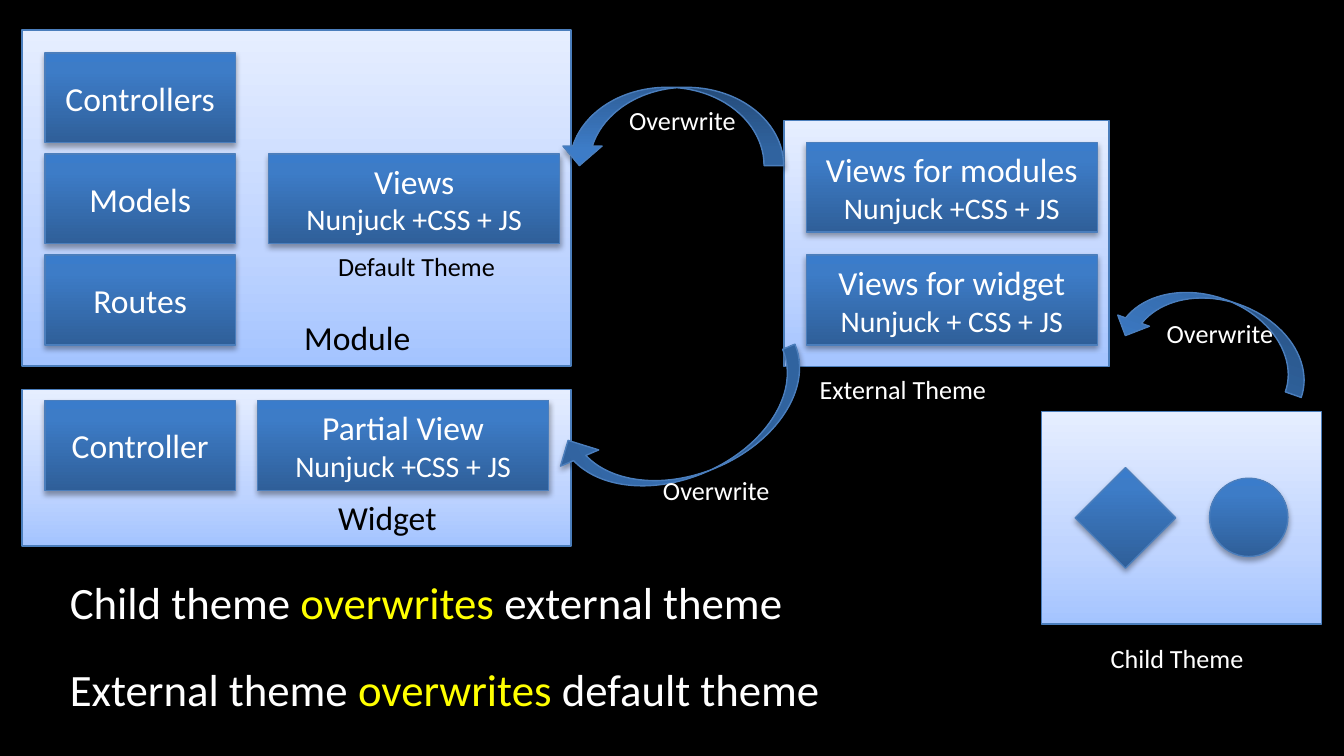
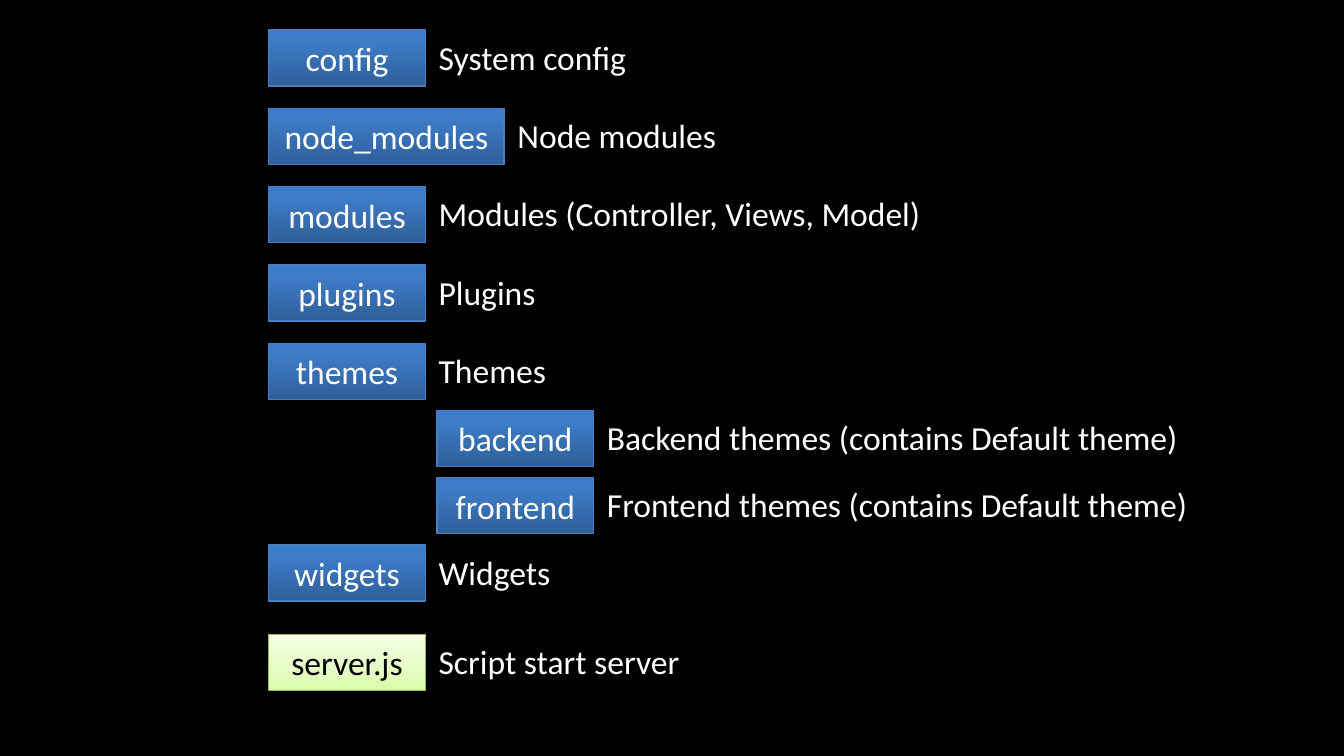
import pptx
import pptx.util
import pptx.dml.color
import pptx.enum.shapes
import pptx.enum.text
import pptx.oxml
import pptx.oxml.ns
import lxml.etree

Cm = pptx.util.Cm
Pt = pptx.util.Pt
RGB = pptx.dml.color.RGBColor.from_string
SHAPE = pptx.enum.shapes.MSO_SHAPE
ALIGN = pptx.enum.text.PP_ALIGN
ANCHOR = pptx.enum.text.MSO_ANCHOR
FIT = pptx.enum.text.MSO_AUTO_SIZE
qn = pptx.oxml.ns.qn

THEME = {
    "font": "Calibri",
    "back": "000000",
    "light": "FFFFFF",
    "dark": "000000",
    "accent": "FFFF00",
    "statement": 24,
    "name": 18,
    "detail": 16,
    "caption": 14,
    "line": 0.75,
    "styles": {
        "block": {"stops": [(0, "2F5F99"), (80, "3D7CC7"), (100, "3A7CCB")],
                  "line": "4B7EBC", "alpha": 35, "drop": 1.8, "text": "light"},
        "panel": {"stops": [(0, "A4C4FF"), (35, "BFD4FF"), (100, "E6EEFF")],
                  "line": "4B7EBC", "alpha": 38, "drop": 1.6, "text": "dark"},
        "script": {"stops": [(0, "DAFDA7"), (35, "E4FCC2"), (100, "F5FFE7")],
                   "line": "98B955", "alpha": 38, "drop": 1.6, "text": "dark"},
    },
}

PANELS = [
    (0.42, 0.57, 10.37, 6.35),
    (14.82, 2.28, 6.14, 4.65),
    (0.42, 7.36, 10.37, 2.96),
    (19.69, 7.78, 5.29, 4.02),
]
NARROW, WIDE, BLOCK_H = 3.6, 5.5, 1.7
MODULE_PARTS = ["Controllers", "Models", "Routes"]
BLOCKS = [
    (0.85, 1.0 + 1.91 * i, NARROW, [part]) for i, part in enumerate(MODULE_PARTS)
] + [
    (5.08, 2.91, WIDE, ["Views", "Nunjuck +CSS + JS"]),
    (15.24, 2.69, WIDE, ["Views for modules", "Nunjuck +CSS + JS"]),
    (15.24, 4.82, WIDE, ["Views for widget", "Nunjuck + CSS + JS"]),
    (0.85, 7.57, NARROW, ["Controller"]),
    (4.87, 7.57, WIDE, ["Partial View", "Nunjuck +CSS + JS"]),
]
SYMBOLS = [
    (SHAPE.CURVED_UP_ARROW, (10.58, 1.65, 4.23, 1.48), 180, []),
    (SHAPE.CURVED_UP_ARROW, (21.07, 5.64, 3.84, 1.27), 199.4, []),
    (SHAPE.CURVED_LEFT_ARROW, (12.22, 5.69, 1.57, 5.05), 67, [0.16, 0.5, 0.25]),
    (SHAPE.DIAMOND, (20.32, 8.84, 1.9, 1.9), 0, []),
    (SHAPE.OVAL, (22.86, 9.04, 1.48, 1.48), 0, []),
]
LABELS = [
    ("Module", 5.5, 5.87, 2.54, "name", "dark"),
    ("Widget", 6.14, 9.27, 2.41, "name", "dark"),
    ("Default Theme", 6.14, 4.6, 3.51, "caption", "dark"),
    ("External Theme", 15.24, 6.93, 3.68, "caption", "light"),
    ("Child Theme", 20.74, 12.01, 3.05, "caption", "light"),
    ("Overwrite", 11.64, 1.85, 2.54, "caption", "light"),
    ("Overwrite", 21.8, 5.87, 2.54, "caption", "light"),
    ("Overwrite", 12.28, 8.84, 2.54, "caption", "light"),
]
LABEL_H = {"name": 1.02, "caption": 0.86}
STATEMENTS = [
    ("Child theme ", "overwrites", " external theme"),
    ("External theme ", "overwrites", " default theme"),
]

FOLDER_X, FOLDER_Y, FOLDER_H, INDENT = 5.08, 0.57, 1.06, 3.18
FOLDERS = [
    # name, description, level, gap above, width, description width, wrap
]
FOLDERS = [
    ("config", "System config", 0, 0, 2.96, 8.86, True),
    ("node_modules", "Node modules", 0, 1.48, 4.45, 8.86, True),
    ("modules", "Modules (Controller, Views, Model)", 0, 1.48, 2.96, 12.27, True),
    ("plugins", "Plugins", 0, 1.48, 2.96, 2.36, False),
    ("themes", "Themes", 0, 1.48, 2.96, 2.59, False),
    ("backend", "Backend themes (contains Default theme)", 1, 1.27, 2.96, 11.46, False),
    ("frontend", "Frontend themes (contains Default theme)", 1, 1.27, 2.96, 11.66, False),
    ("widgets", "Widgets", 0, 1.27, 2.96, 2.64, False),
    ("server.js", "Script start server", 0, 1.69, 2.96, 5.13, False),
]


def apply(obj, values):
    for key, value in values.items():
        setattr(obj, key, value)


def add_run(p, text, size, color):
    r = p.add_run()
    r.text = text
    apply(r.font, {"name": THEME["font"], "size": Pt(THEME[size])})
    r.font.color.rgb = RGB(THEME[color])


def add_color(parent, color):
    return lxml.etree.SubElement(parent, qn("a:srgbClr"), val=color)


def add_styled(slide, kind, box, style, lines=(), rotation=0, adjustments=()):
    look = THEME["styles"][style]
    sp = slide.shapes.add_shape(kind, *map(Cm, box))
    sp.rotation = rotation
    for i, value in enumerate(adjustments):
        sp.adjustments[i] = value
    sp.fill.gradient()
    sp.fill.gradient_angle = 90
    stops = sp._element.spPr.find(qn("a:gradFill")).find(qn("a:gsLst"))
    for stop in list(stops):
        stops.remove(stop)
    for pos, color in look["stops"]:
        add_color(lxml.etree.SubElement(stops, qn("a:gs"), pos=str(pos * 1000)), color)
    sp.line.color.rgb = RGB(look["line"])
    sp.line.width = Pt(THEME["line"])
    sp.shadow.inherit = False
    shadow = lxml.etree.SubElement(
        sp._element.spPr.find(qn("a:effectLst")), qn("a:outerShdw"),
        blurRad=str(Pt(3.1)), dist=str(Pt(look["drop"])), dir="5400000", rotWithShape="0")
    lxml.etree.SubElement(add_color(shadow, "000000"), qn("a:alpha"),
                          val=str(look["alpha"] * 1000))
    if lines:
        tf = sp.text_frame
        apply(tf, {"word_wrap": True, "vertical_anchor": ANCHOR.MIDDLE})
        p = tf.paragraphs[0]
        p.alignment = ALIGN.CENTER
        for i, line in enumerate(lines):
            if i:
                p.add_line_break()
            add_run(p, line, "detail" if i else "name", look["text"])


def add_label(slide, text, x, y, w, size, color, wrap=False):
    tf = slide.shapes.add_textbox(*map(Cm, (x, y, w, LABEL_H[size]))).text_frame
    apply(tf, {"word_wrap": wrap, "auto_size": FIT.SHAPE_TO_FIT_TEXT})
    add_run(tf.paragraphs[0], text, size, color)


def build_overrides(slide):
    for box in PANELS:
        add_styled(slide, SHAPE.RECTANGLE, box, "panel")
    for x, y, w, lines in BLOCKS:
        add_styled(slide, SHAPE.RECTANGLE, (x, y, w, BLOCK_H), "block", lines)
    for kind, box, rotation, adjustments in SYMBOLS:
        add_styled(slide, kind, box, "block", (), rotation, adjustments)
    for label in LABELS:
        add_label(slide, *label)
    tf = slide.shapes.add_textbox(*map(Cm, (1.07, 10.74, 15.67, 2.79))).text_frame
    tf.word_wrap = True
    for i, parts in enumerate(STATEMENTS):
        p = tf.add_paragraph() if i else tf.paragraphs[0]
        p.space_before = Pt(18)
        for text, color in zip(parts, ("light", "accent", "light")):
            add_run(p, text, "statement", color)


def build_folders(slide):
    y = FOLDER_Y
    for name, text, level, gap, w, text_w, wrap in FOLDERS:
        x = FOLDER_X + level * INDENT
        y += gap
        style = "script" if name.endswith(".js") else "block"
        add_styled(slide, SHAPE.RECTANGLE, (x, y, w, FOLDER_H), style, [name])
        add_label(slide, text, x + w, y, text_w, "name", "light", wrap)


def main():
    prs = pptx.Presentation()
    apply(prs, {"slide_width": Cm(25.4), "slide_height": Cm(14.29)})
    fill = prs.slide_master.background.fill
    fill.solid()
    fill.fore_color.rgb = RGB(THEME["back"])
    for build in (build_overrides, build_folders):
        build(prs.slides.add_slide(prs.slide_layouts[6]))
    prs.save("out.pptx")


if __name__ == "__main__":
    main()
